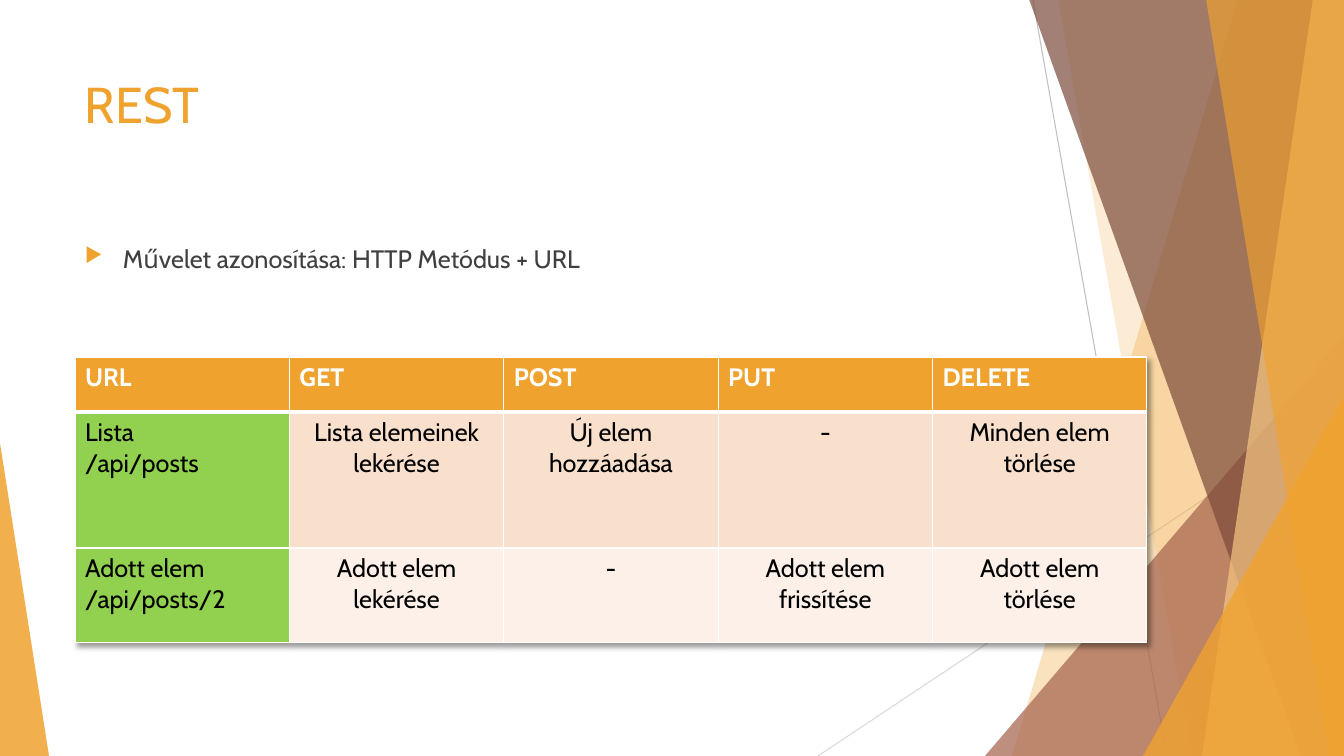
from dataclasses import dataclass
from typing import Any, Union

import pptx
import pptx.dml.color
import pptx.enum.shapes
import pptx.enum.text
import pptx.oxml
import pptx.oxml.ns
import pptx.util
from lxml import etree

EMU_PER_PX = 914400 / 100.8
WIDTH, HEIGHT = 1344, 756
FONT = "Cabin"
ORANGE, RUST, BROWN, SAND = "F0A22E", "A5644E", "7C4B3B", "F6C782"
WHITE, BLACK, GREEN = "FFFFFF", "000000", "92D050"


@dataclass
class Line:
    """A thin background line between two points."""
    x1: int
    y1: int
    x2: int
    y2: int
    color: str


@dataclass
class Band:
    """A slanted band from its left edge to the right side of the slide."""
    top_x: int
    bottom_x: int
    color: str
    opacity: int


@dataclass
class Triangle:
    """A triangle standing on the bottom of the slide."""
    x: int
    y: int
    width: int
    apex: float
    color: str
    opacity: int


@dataclass
class Row:
    """A table row; first_fill colours its leading cell."""
    height: int
    first_fill: str
    fill: str
    color: str
    texts: list[str]


LINES = [Line(1033, 0, 1167, 756, "BFBFBF"), Line(1344, 406, 818, 756, "D9D9D9")]
FACETS = [
    Band(1238, 1012, ORANGE, 30),
    Band(1058, 1192, ORANGE, 20),
    Triangle(985, 336, 359, 1, RUST, 72),
    Band(1029, 1301, BROWN, 70),
    Band(1313, 1202, SAND, 70),
    Band(1206, 1329, ORANGE, 65),
    Triangle(1143, 396, 201, 1, ORANGE, 80),
    Triangle(0, 443, 49, 0, ORANGE, 85),
]
ROWS = [
    Row(55, ORANGE, ORANGE, WHITE, ["URL", "GET", "POST", "PUT", "DELETE"]),
    Row(136, GREEN, "F9E0CD", BLACK,
        ["Lista \v/api/posts", "Lista elemeinek lekérése", "Új elem hozzáadása",
         "-", "Minden elem törlése"]),
    Row(95, GREEN, "FCF0E8", BLACK,
        ["Adott elem\n/api/posts/2", "Adott elem lekérése", "-",
         "Adott elem frissítése", "Adott elem törlése"]),
]


def px(n: float) -> int:
    """Turn pixels into EMU."""
    return round(n * EMU_PER_PX)


def rgb(color: str) -> pptx.dml.color.RGBColor:
    """Turn a hex string into a colour."""
    return pptx.dml.color.RGBColor.from_string(color)


def xml(body: str) -> Any:
    """Parse one DrawingML element written with the prefix a."""
    head, tail = body.split(">", 1) if not body.endswith("/>") else (body[:-2], None)
    ns = ' ' + pptx.oxml.ns.nsdecls("a")
    return pptx.oxml.parse_xml(head + ns + ("/>" if tail is None else ">" + tail)) \
        if not head.endswith("/") else pptx.oxml.parse_xml(head[:-1] + ns + "/>")


def add_line(s: Any, line: Line) -> None:
    """Draw a thin line without a shadow."""
    c = s.shapes.add_connector(pptx.enum.shapes.MSO_CONNECTOR.STRAIGHT,
                               px(line.x1), px(line.y1), px(line.x2), px(line.y2))
    c.line.color.rgb = rgb(line.color)
    c.line.width = pptx.util.Pt(0.75)
    etree.SubElement(c._element.spPr, pptx.oxml.ns.qn("a:effectLst"))


def add_facet(s: Any, facet: Union[Band, Triangle]) -> None:
    """Draw a translucent band or triangle."""
    if isinstance(facet, Band):
        fb = s.shapes.build_freeform(facet.top_x, -1, EMU_PER_PX)
        fb.add_line_segments([(WIDTH, -1), (WIDTH, HEIGHT), (facet.bottom_x, HEIGHT)])
        sp = fb.convert_to_shape()
    else:
        sp = s.shapes.add_shape(pptx.enum.shapes.MSO_SHAPE.ISOSCELES_TRIANGLE,
                                px(facet.x), px(facet.y),
                                px(facet.width), px(HEIGHT - facet.y))
        sp.adjustments[0] = facet.apex
    sp.shadow.inherit = False
    sp.line.fill.background()
    sp.fill.solid()
    sp.fill.fore_color.rgb = rgb(facet.color)
    clr = sp._element.spPr.find(".//" + pptx.oxml.ns.qn("a:srgbClr"))
    etree.SubElement(clr, pptx.oxml.ns.qn("a:alpha"), val=str(facet.opacity * 1000))


def style_text(tf: Any, size: int, color: str, bold: bool = False) -> None:
    """Format every run of a text frame."""
    for p in tf.paragraphs:
        for r in p.runs:
            r.font.name = FONT
            r.font.size = pptx.util.Pt(size)
            r.font.bold = bold
            r.font.color.rgb = rgb(color)


def add_text(s: Any, y: int, h: int, text: str, size: int, color: str) -> Any:
    """Add a text box in the main column and return its paragraph."""
    tf = s.shapes.add_textbox(px(75), px(y), px(948), px(h)).text_frame
    tf.word_wrap = True
    tf.text = text
    style_text(tf, size, color)
    return tf.paragraphs[0]


def add_bullet(p: Any) -> None:
    """Give a paragraph an orange arrow bullet and a hanging indent."""
    p.space_before = pptx.util.Pt(10)
    pPr = p._p.get_or_add_pPr()
    pPr.set("marL", str(px(38)))
    pPr.set("indent", str(-px(38)))
    for body in (f'<a:buClr><a:srgbClr val="{ORANGE}"/></a:buClr>',
                 '<a:buSzPct val="80000"/>', '<a:buChar char="▶"/>'):
        pPr.append(xml(body))


def set_borders(cell: Any, top: int, bottom: int) -> None:
    """Draw white cell borders with the given top and bottom points."""
    tcPr = cell._tc.get_or_add_tcPr()
    for side, width in (("L", 1), ("R", 1), ("T", top), ("B", bottom)):
        tcPr.append(xml(f'<a:ln{side} w="{width * 12700}"><a:solidFill>'
                        f'<a:srgbClr val="{WHITE}"/></a:solidFill></a:ln{side}>'))


def add_table(s: Any) -> None:
    """Add the table of methods and URLs."""
    columns = len(ROWS[0].texts)
    gf = s.shapes.add_table(len(ROWS), columns, px(75), px(357), px(1072),
                            px(sum(row.height for row in ROWS)))
    table = gf.table
    table._tbl.tblPr.insert(0, xml(
        '<a:effectLst><a:outerShdw blurRad="50800" dist="38100" dir="2700000">'
        '<a:srgbClr val="000000"><a:alpha val="40000"/></a:srgbClr>'
        '</a:outerShdw></a:effectLst>'))
    for i, row in enumerate(ROWS):
        table.rows[i].height = px(row.height)
        for j, text in enumerate(row.texts):
            cell = table.cell(i, j)
            set_borders(cell, 3 if i == 1 else 1, 3 if i == 0 else 1)
            cell.fill.solid()
            cell.fill.fore_color.rgb = rgb(row.fill if j else row.first_fill)
            cell.text_frame.text = text
            style_text(cell.text_frame, 18, row.color, bold=i == 0)
            if i and j:
                cell.text_frame.paragraphs[0].alignment = pptx.enum.text.PP_ALIGN.CENTER


prs = pptx.Presentation()
prs.slide_width, prs.slide_height = px(WIDTH), px(HEIGHT)
s = prs.slides.add_slide(prs.slide_layouts[6])
for line in LINES:
    add_line(s, line)
for facet in FACETS:
    add_facet(s, facet)
add_text(s, 68, 145, "REST", 36, ORANGE)
add_bullet(add_text(s, 238, 427, "Művelet azonosítása: HTTP Metódus + URL", 18, "404040"))
add_table(s)
prs.save("out.pptx")
